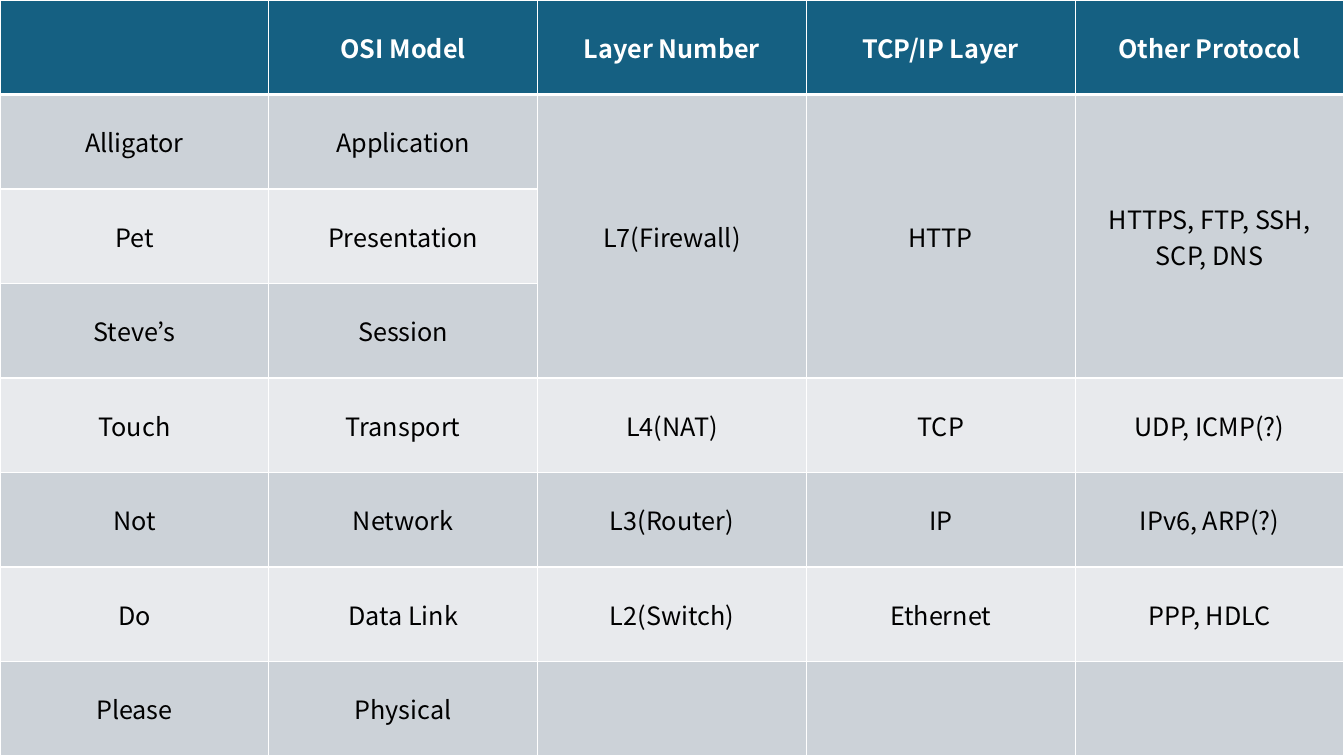
"""Build a slide with a table of the OSI model and its protocols."""
from pptx import Presentation
from pptx.dml.color import RGBColor
from pptx.enum.text import MSO_ANCHOR, PP_ALIGN
from pptx.oxml import parse_xml
from pptx.oxml.ns import nsdecls
from pptx.util import Inches, Pt

ROWS = [
    ("", "OSI Model", "Layer Number", "TCP/IP Layer", "Other Protocol"),
    ("Alligator", "Application", "L7(Firewall)", "HTTP", "HTTPS, FTP, SSH, SCP, DNS"),
    ("Pet", "Presentation", "", "", ""),
    ("Steve’s", "Session", "", "", ""),
    ("Touch", "Transport", "L4(NAT)", "TCP", "UDP, ICMP(?)"),
    ("Not", "Network", "L3(Router)", "IP", "IPv6, ARP(?)"),
    ("Do", "Data Link", "L2(Switch)", "Ethernet", "PPP, HDLC"),
    ("Please", "Physical", "", "", ""),
]
MERGED = {"cols": (2, 3, 4), "first": 1, "last": 3}
COLORS = {"head": "156082", "odd": "CCD2D8", "even": "E8EAED",
          "line": "FFFFFF", "title": "FFFFFF", "text": "000000"}
FONT = "Noto Sans CJK KR"
WIDTH, HEIGHT = Inches(13.33), Inches(7.5)


def add_borders(cell, row):
    """Draw white cell borders, with a thick one under the header."""
    thick = {(0, "B"), (1, "T")}
    for side in "LRTB":
        size = Pt(3 if (row, side) in thick else 1)
        cell._tc.get_or_add_tcPr().append(parse_xml(
            f'<a:ln{side} {nsdecls("a")} w="{size}"><a:solidFill>'
            f'<a:srgbClr val="{COLORS["line"]}"/></a:solidFill></a:ln{side}>'))


def fill_cell(cell, text, row):
    """Write and format one cell."""
    add_borders(cell, row)
    shade = "head" if row == 0 else "odd" if row % 2 else "even"
    cell.fill.solid()
    cell.fill.fore_color.rgb = RGBColor.from_string(COLORS[shade])
    cell.vertical_anchor = MSO_ANCHOR.MIDDLE
    cell.text = text
    para = cell.text_frame.paragraphs[0]
    para.alignment = PP_ALIGN.CENTER
    font = para.font
    font.name, font.size, font.bold = FONT, Pt(18), row == 0
    font.color.rgb = RGBColor.from_string(COLORS["text" if row else "title"])


def main():
    """Create the slide and save it."""
    deck = Presentation()
    deck.slide_width, deck.slide_height = WIDTH, HEIGHT
    slide = deck.slides.add_slide(deck.slide_layouts[6])
    table = slide.shapes.add_table(
        len(ROWS), len(ROWS[0]), 0, 0, WIDTH, HEIGHT).table
    for row, texts in enumerate(ROWS):
        for col, text in enumerate(texts):
            fill_cell(table.cell(row, col), text, row)
    for col in MERGED["cols"]:
        table.cell(MERGED["first"], col).merge(table.cell(MERGED["last"], col))
    deck.save("out.pptx")


if __name__ == "__main__":
    main()
